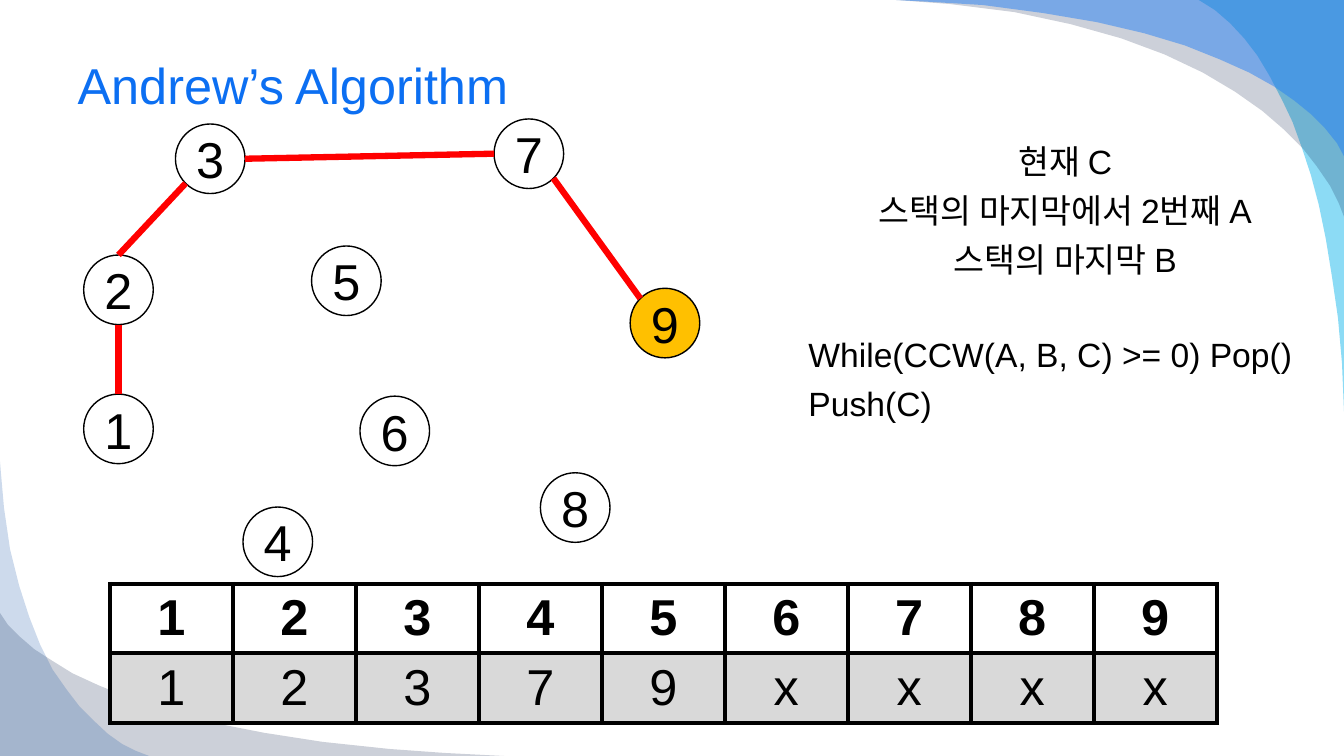
from math import cos, radians, sin

from lxml import etree
from pptx import Presentation
from pptx.dml.color import RGBColor
from pptx.enum import shapes, text
from pptx.oxml.ns import qn
from pptx.util import Inches, Pt

# Content
TITLE = "Andrew’s Algorithm"
DEFINITIONS = ["현재 C", "스택의 마지막에서 2번째 A", "스택의 마지막 B"]
PSEUDOCODE = ["While(CCW(A, B, C) >= 0) Pop()", "Push(C)"]
STACK = ["123456789", "12379xxxx"]  # one character per cell
CURRENT = "9"
NODES = {  # label: left, top
    "3": (1.74, 1.23), "9": (6.25, 2.86), "1": (0.83, 3.91),
    "6": (3.57, 3.93), "8": (5.36, 4.69), "2": (0.83, 2.53),
    "4": (2.41, 5.03), "7": (4.9, 1.18), "5": (3.09, 2.44),
}
EDGES = [  # node, angle on its rim, node, angle (clockwise from the right)
    ("1", 270, "2", 90), ("2", 270, "3", 135),
    ("7", 180, "3", 0), ("7", 45, "9", 225),
]
WAVES = [  # colour, opacity in percent, outline
    ("00B1E9", 45, [
        (13.33, 4.08), (13.33, 0), (11.89, 0), (12.05, 0.1), (12.2, 0.23),
        (12.34, 0.38), (12.47, 0.55), (12.59, 0.75), (12.72, 1), (12.82, 1.21),
        (12.91, 1.46), (13, 1.73), (13.08, 2.03), (13.15, 2.37), (13.21, 2.74),
        (13.27, 3.15), (13.31, 3.6)]),
    ("021741", 20, [
        (8.89, 0), (13.33, 0), (13.33, 2.15), (13.28, 2.02), (13.19, 1.84),
        (13.06, 1.65), (12.92, 1.47), (12.74, 1.29), (12.52, 1.1),
        (12.25, 0.91), (11.93, 0.72), (11.55, 0.54), (11.12, 0.38),
        (10.62, 0.24), (10.06, 0.12), (9.42, 0.04)]),
    ("247FF4", 49, [
        (8.89, 0), (13.33, 0), (13.33, 1.55), (13.26, 1.42), (13.14, 1.27),
        (13, 1.13), (12.84, 1), (12.64, 0.86), (12.39, 0.72), (12.1, 0.59),
        (11.75, 0.45), (11.35, 0.33), (10.88, 0.22), (10.35, 0.13),
        (9.75, 0.05), (9.25, 0.02)]),
    ("021741", 20, [
        (5, 7.5), (0, 7.5), (0, 6.08), (0.08, 6.2), (0.19, 6.31), (0.34, 6.44),
        (0.51, 6.55), (0.72, 6.68), (0.98, 6.8), (1.3, 6.93), (1.68, 7.05),
        (2.11, 7.17), (2.62, 7.27), (3.2, 7.36), (3.86, 7.43), (4.41, 7.47)]),
    ("084AA1", 20, [
        (0, 4.58), (0, 7.5), (1.48, 7.5), (1.35, 7.45), (1.21, 7.38),
        (1.07, 7.28), (0.92, 7.14), (0.79, 7.01), (0.66, 6.84), (0.52, 6.64),
        (0.4, 6.4), (0.29, 6.12), (0.19, 5.81), (0.1, 5.45), (0.04, 5.04),
        (0.01, 4.7)]),
]
NODE_SIZE = 0.69
ROW_H, COL_W = 0.69, 1.22
LINE_GAP, BLANK_LINE = 6, 33.6


def rgb(color):
    return RGBColor.from_string(color)


def write(p, words, size=36, color="000000", bold=False,
          align=text.PP_ALIGN.CENTER, before=0):
    p.alignment = align
    p.space_before = Pt(before)
    r = p.add_run()
    r.text = words
    r.font.name = "Arial"
    r.font.size = Pt(size)
    r.font.bold = bold
    r.font.color.rgb = rgb(color)


def paint(sp, color):
    sp.shadow.inherit = False
    sp.fill.solid()
    sp.fill.fore_color.rgb = rgb(color)


def rim(label, angle):
    left, top = NODES[label]
    radius = NODE_SIZE / 2
    return (Inches(left + radius + radius * cos(radians(angle))),
            Inches(top + radius + radius * sin(radians(angle))))


def border(cell, color="000000", width=3):
    tc_pr = cell._tc.get_or_add_tcPr()
    for i, side in enumerate(("lnL", "lnR", "lnT", "lnB")):
        ln = etree.Element(qn("a:" + side), w=str(Pt(width)))
        fill = etree.SubElement(ln, qn("a:solidFill"))
        etree.SubElement(fill, qn("a:srgbClr"), val=color)
        tc_pr.insert(i, ln)


prs = Presentation()
prs.slide_width, prs.slide_height = Inches(13.33), Inches(7.5)
s = prs.slides.add_slide(prs.slide_layouts[5])

# Corner waves
for color, opacity, outline in WAVES:
    points = [(Inches(x), Inches(y)) for x, y in outline]
    builder = s.shapes.build_freeform(*points[0])
    builder.add_line_segments(points[1:], close=True)
    sp = builder.convert_to_shape()
    paint(sp, color)
    sp.line.fill.background()
    clr = sp._element.spPr.find(".//" + qn("a:srgbClr"))
    etree.SubElement(clr, qn("a:alpha"), val=str(opacity * 1000))

# Title
title = s.shapes.title
title.left, title.top = Inches(0.67), Inches(0.33)
title.width, title.height = Inches(12), Inches(1.01)
title.text_frame.vertical_anchor = text.MSO_ANCHOR.MIDDLE
write(title.text_frame.paragraphs[0], TITLE, color="0C6FF2",
      align=text.PP_ALIGN.LEFT)

# Stack table
table = s.shapes.add_table(
    len(STACK), len(STACK[0]), Inches(1.09), Inches(5.79),
    Inches(COL_W * len(STACK[0])), Inches(ROW_H * len(STACK))).table
for col in table.columns:
    col.width = Inches(COL_W)
for i, values in enumerate(STACK):
    table.rows[i].height = Inches(ROW_H)
    for j, value in enumerate(values):
        cell = table.cell(i, j)
        cell.fill.solid()
        cell.fill.fore_color.rgb = rgb("D9D9D9" if i else "FFFFFF")
        cell.vertical_anchor = text.MSO_ANCHOR.MIDDLE
        write(cell.text_frame.paragraphs[0], value, bold=i == 0)
        border(cell)

# Definitions and pseudocode
tf = s.shapes.add_textbox(Inches(7.92), Inches(1.35),
                          Inches(5.29), Inches(2.85)).text_frame
tf.word_wrap = True
for i, line in enumerate(DEFINITIONS):
    p = tf.add_paragraph() if i else tf.paragraphs[0]
    write(p, line, size=24, before=LINE_GAP if i else 0)
for i, line in enumerate(PSEUDOCODE):
    write(tf.add_paragraph(), line, size=24, align=text.PP_ALIGN.LEFT,
          before=LINE_GAP if i else LINE_GAP + BLANK_LINE)

# Nodes
for label, (left, top) in NODES.items():
    sp = s.shapes.add_shape(shapes.MSO_SHAPE.OVAL, Inches(left), Inches(top),
                            Inches(NODE_SIZE), Inches(NODE_SIZE))
    paint(sp, "FFC000" if label == CURRENT else "FFFFFF")
    sp.line.color.rgb = rgb("000000")
    sp.line.width = Pt(1)
    sp.text_frame.vertical_anchor = text.MSO_ANCHOR.MIDDLE
    write(sp.text_frame.paragraphs[0], label)

# Hull edges
for start, start_angle, end, end_angle in EDGES:
    edge = s.shapes.add_connector(
        shapes.MSO_CONNECTOR.STRAIGHT,
        *rim(start, start_angle), *rim(end, end_angle))
    edge.line.color.rgb = rgb("FF0000")
    edge.line.width = Pt(4.5)
    etree.SubElement(edge._element.spPr, qn("a:effectLst"))

prs.save("out.pptx")
